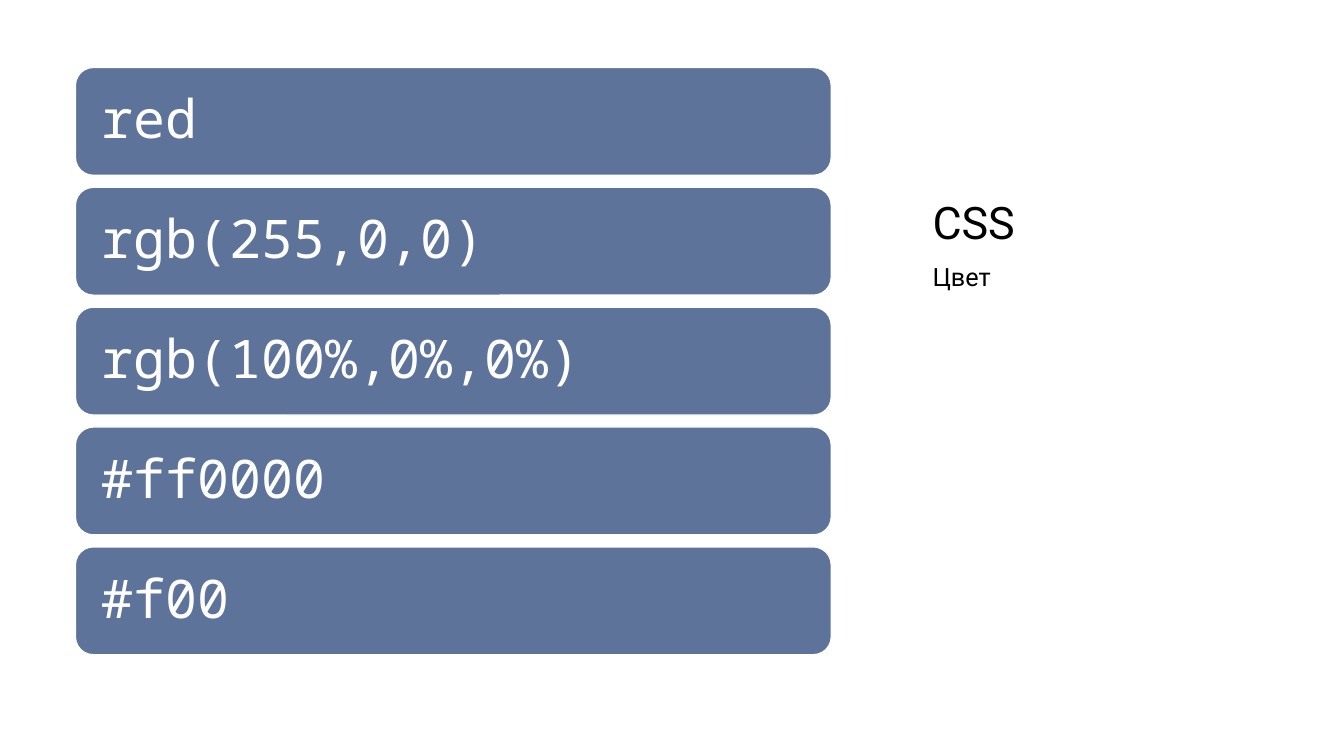
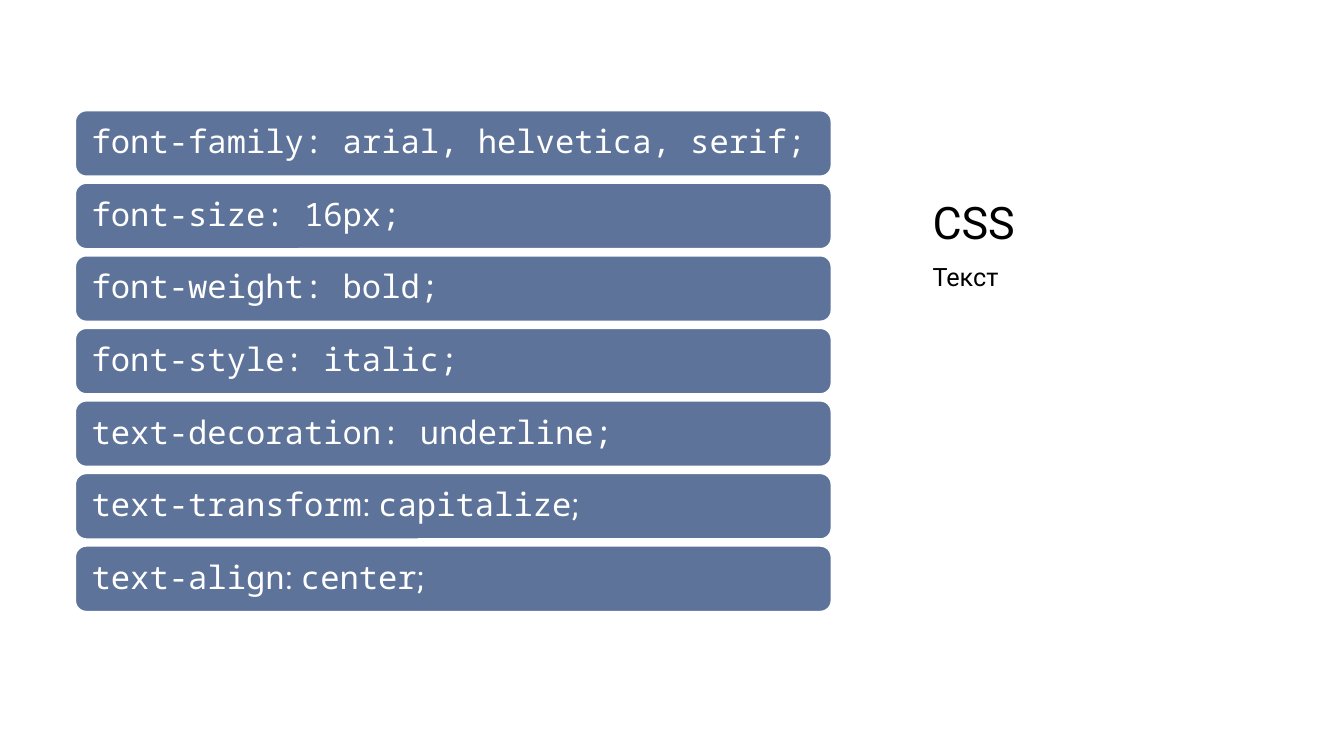
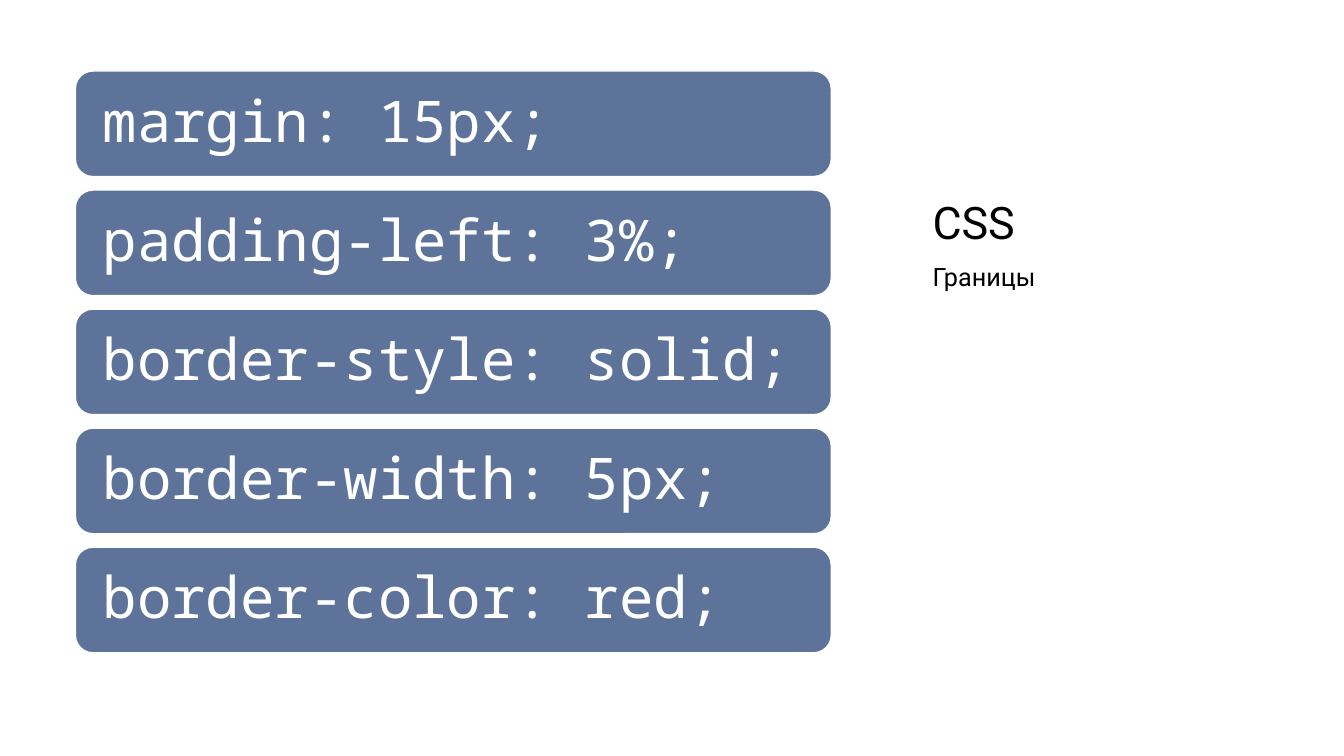
from itertools import cycle

from pptx import Presentation
from pptx.dml.color import RGBColor
from pptx.enum.shapes import MSO_SHAPE
from pptx.enum.text import MSO_ANCHOR, MSO_AUTO_SIZE, PP_ALIGN
from pptx.util import Cm, Pt

COLORS = {"bar": "5D739A", "light": "FFFFFF", "dark": "000000"}
SANS, MONO = "Roboto", "Noto Sans Mono"
TITLE_BOX = (23.5, 1.68, 8.79, 4.57)
TOPIC_BOX = (23.5, 6.5, 8.79, 10)

SLIDES = [
    {
        "topic": "Цвет",
        "box": (1.9, 1.7, 19.05, 14.8),
        "height": 2.72,
        "inset": 0.53,
        "size": 38,
        "rules": ["red", "rgb(255,0,0)", "rgb(100%,0%,0%)", "#ff0000", "#f00"],
    },
    {
        "topic": "Текст",
        "box": (1.9, 2.79, 19.05, 12.62),
        "height": 1.65,
        "inset": 0.33,
        "size": 23,
        "rules": [
            "font-family: arial, helvetica, serif;",
            "font-size: 16px;",
            "font-weight: bold;",
            "font-style: italic;",
            "text-decoration: underline;",
            "text-transform|: |capitalize|;",
            "text-align|: |center|;",
        ],
    },
    {
        "topic": "Границы",
        "box": (1.9, 1.79, 19.05, 14.66),
        "height": 2.66,
        "inset": 0.56,
        "size": 41,
        "rules": [
            "margin: 15px;",
            "padding-left: 3%;",
            "border-style: solid;",
            "border-width: 5px;",
            "border-color: red;",
        ],
    },
]


def color(name):
    """Return a palette colour."""
    return RGBColor.from_string(COLORS[name])


def style(run, face, size, tint):
    """Format a run."""
    run.font.name = face
    run.font.size = Pt(size)
    run.font.bold = False
    run.font.color.rgb = color(tint)


def inset(frame, side, edge=0):
    """Set the inner margins of a text frame in centimetres."""
    frame.margin_left = frame.margin_right = Cm(side)
    frame.margin_top = frame.margin_bottom = Cm(edge)
    frame.word_wrap = True
    frame.auto_size = MSO_AUTO_SIZE.NONE


def fill_holder(holder, box, text, size, anchor):
    """Move a placeholder into its box and return its formatted paragraph."""
    holder.left, holder.top, holder.width, holder.height = map(Cm, box)
    frame = holder.text_frame
    frame.text = text
    inset(frame, 0)
    frame.vertical_anchor = anchor
    line = frame.paragraphs[0]
    line.alignment = PP_ALIGN.LEFT
    style(line.runs[0], SANS, size, "dark")
    return line


def add_head(slide, topic):
    """Place the title and the topic beside the bars."""
    fill_holder(slide.shapes.title, TITLE_BOX, "CSS", 32, MSO_ANCHOR.BOTTOM)
    line = fill_holder(slide.placeholders[2], TOPIC_BOX, topic, 18, MSO_ANCHOR.TOP)
    line.line_spacing = 1.1
    line.space_before = Pt(8)


def add_bar(slide, box, rule, side, size):
    """Draw one rounded bar with a line of code."""
    bar = slide.shapes.add_shape(MSO_SHAPE.ROUNDED_RECTANGLE, *map(Cm, box))
    bar.shadow.inherit = False
    bar.fill.solid()
    bar.fill.fore_color.rgb = color("bar")
    bar.line.color.rgb = color("light")
    bar.line.width = Pt(1)
    frame = bar.text_frame
    inset(frame, side)
    frame.vertical_anchor = MSO_ANCHOR.MIDDLE
    line = frame.paragraphs[0]
    line.alignment = PP_ALIGN.LEFT
    line.line_spacing = 0.9
    for part, face in zip(rule.split("|"), cycle([MONO, SANS])):
        run = line.add_run()
        run.text = part
        style(run, face, size, "light")


def add_bars(slide, box, rules, height, side, size):
    """Spread the bars evenly over the box."""
    left, top, width, full = box
    step = (full - height) / (len(rules) - 1)
    for row, rule in enumerate(rules):
        add_bar(slide, (left, top + row * step, width, height), rule, side, size)


def add_page(deck, page):
    """Build one slide with bars on the left and a heading on the right."""
    slide = deck.slides.add_slide(deck.slide_layouts.get_by_name("Content with Caption"))
    spare = slide.placeholders[1].element
    spare.getparent().remove(spare)
    add_head(slide, page["topic"])
    add_bars(slide, page["box"], page["rules"], page["height"], page["inset"], page["size"])


def main():
    """Build and save the deck."""
    deck = Presentation()
    deck.slide_width, deck.slide_height = Cm(33.87), Cm(19.05)
    for page in SLIDES:
        add_page(deck, page)
    deck.save("out.pptx")


if __name__ == "__main__":
    main()
